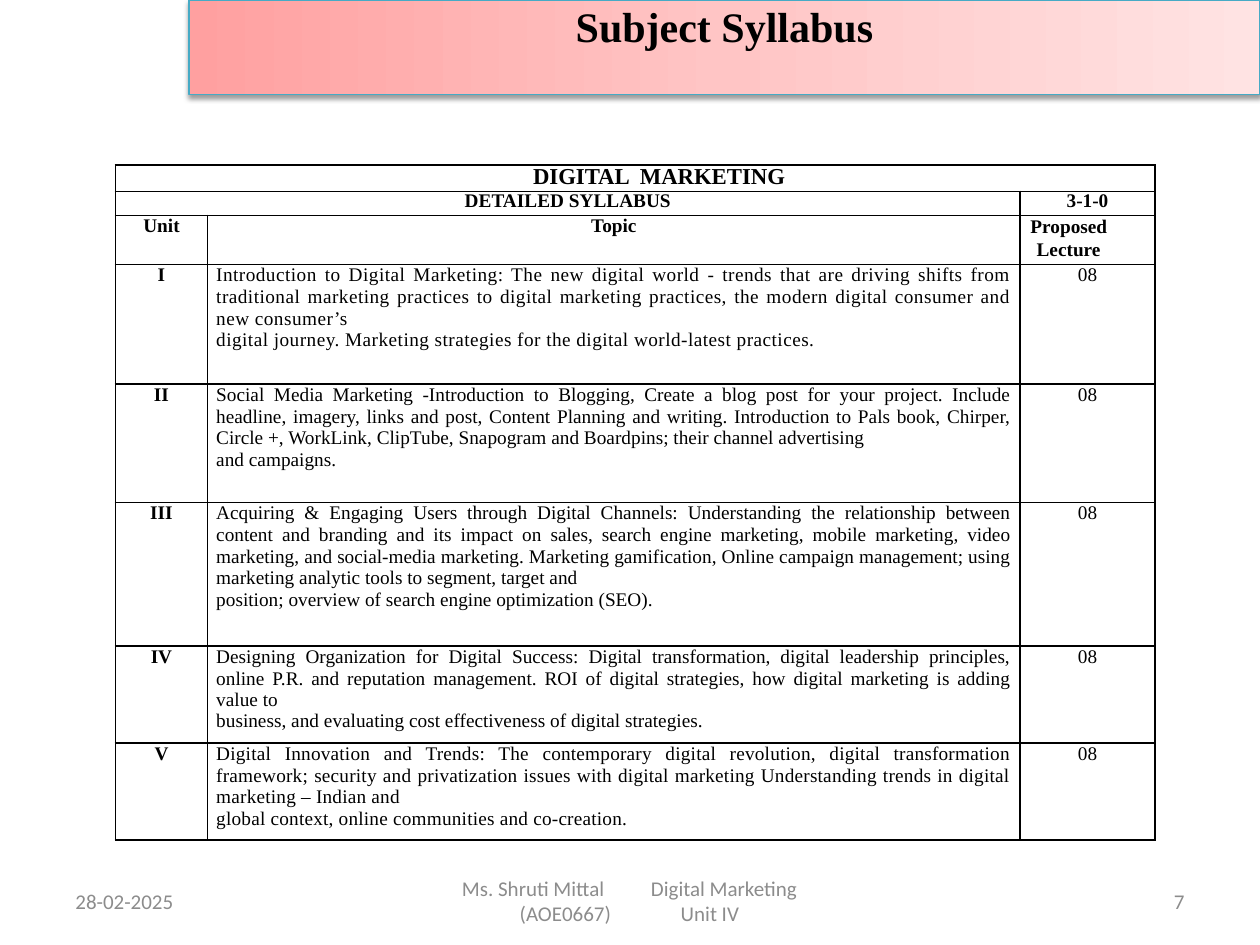
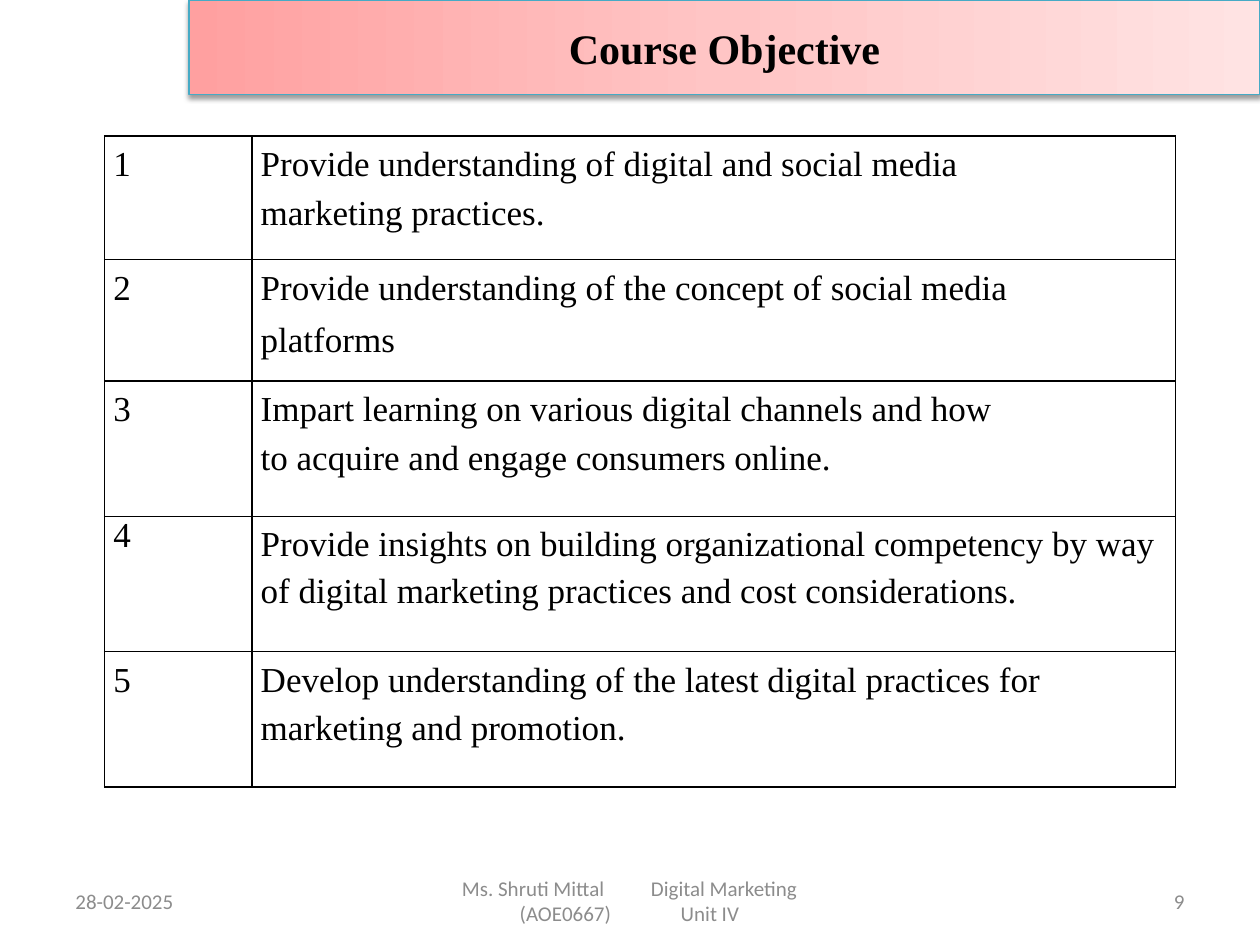
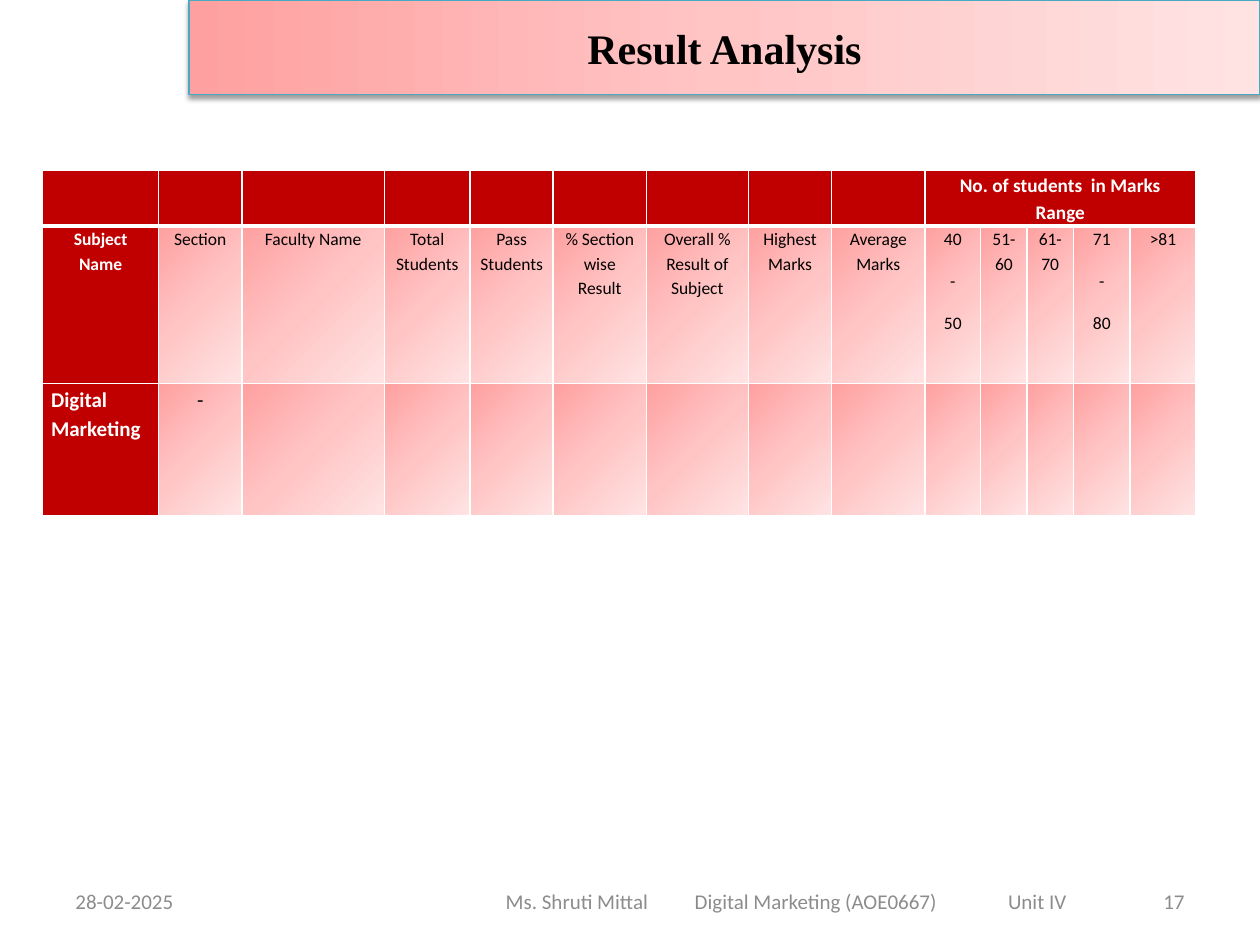
from lxml import etree
from pptx import Presentation
from pptx.dml.color import RGBColor
from pptx.enum import text as t
from pptx.oxml import ns
from pptx.util import Pt

SERIF, SANS = "Times New Roman", "Calibri"
BLACK, WHITE, GREY, RED, TEAL = "000000", "FFFFFF", "8C8C8C", "C00000", "46AAC5"
PINKS = ((0, "FFA0A0"), (50, "FFC5C5"), (100, "FFE3E3"))
LEFT, CENTER = t.PP_ALIGN.LEFT, t.PP_ALIGN.CENTER
RIGHT, JUSTIFY = t.PP_ALIGN.RIGHT, t.PP_ALIGN.JUSTIFY
TITLE_ONLY = 5

UNITS = [
    ("I", "Introduction to Digital Marketing: The new digital world - trends that are "
          "driving shifts from traditional marketing practices to digital marketing "
          "practices, the modern digital consumer and new consumer’s",
     "digital journey. Marketing strategies for the digital world-latest practices.", 0.25),
    ("II", "Social Media Marketing -Introduction to Blogging, Create a blog post for your "
           "project. Include headline, imagery, links and post, Content Planning and "
           "writing. Introduction to Pals book, Chirper, Circle +, WorkLink, ClipTube, "
           "Snapogram and Boardpins; their channel advertising",
     "and campaigns.", 0),
    ("III", "Acquiring & Engaging Users through Digital Channels: Understanding the "
            "relationship between content and branding and its impact on sales, search "
            "engine marketing, mobile marketing, video marketing, and social-media "
            "marketing. Marketing gamification, Online campaign management; using "
            "marketing analytic tools to segment, target and",
     "position; overview of search engine optimization (SEO).", 0),
    ("IV", "Designing Organization for Digital Success: Digital transformation, digital "
           "leadership principles, online P.R. and reputation management. ROI of digital "
           "strategies, how digital marketing is adding value to",
     "business, and evaluating cost effectiveness of digital strategies.", 0),
    ("V", "Digital Innovation and Trends: The contemporary digital revolution, digital "
          "transformation framework; security and privatization issues with digital "
          "marketing Understanding trends in digital marketing – Indian and",
     "global context, online communities and co-creation.", 0.1),
]

# Each objective: its two lines and their line heights
OBJECTIVES = [
    ("Provide understanding of digital and social media",
     "marketing practices.", 27.6, 27.6),
    ("Provide understanding of the concept of social media",
     "platforms", 27.6, 29.8),
    ("Impart learning on various digital channels and how",
     "to acquire and engage consumers online.", 27.6, 27.6),
    ("Provide insights on building organizational competency by way",
     "of digital marketing practices and cost considerations.", 27, 27),
    ("Develop understanding of the latest digital practices for",
     "marketing and promotion.", 27.6, 27.6),
]

RESULT_HEADS = ["Subject Name", "Section", "Faculty Name", "Total Students",
                "Pass Students", "% Section wise Result", "Overall % Result of Subject",
                "Highest Marks", "Average Marks", "40\n-\n50", "51-60", "61-70",
                "71\n-\n80", ">81"]


def rgb(code):
    return RGBColor.from_string(code)


def add_xml(parent, tag, **attributes):
    return etree.SubElement(parent, ns.qn(tag), attributes)


def fill_pinks(part, element, angle):
    """Three-stop pink gradient; angle runs counter-clockwise."""
    part.fill.gradient()
    part.fill.gradient_angle = angle
    stops = next(element.iter(ns.qn("a:gsLst")))
    for stop in list(stops):
        stops.remove(stop)
    for percent, code in PINKS:
        stop = add_xml(stops, "a:gs", pos=str(percent * 1000))
        add_xml(stop, "a:srgbClr", val=code)


def write(frame, lines, size, font=SERIF, color=BLACK, bold=False, align=LEFT,
          spacing=None, after=None, tracking=0):
    frame.text = lines
    for paragraph in frame.paragraphs:
        paragraph.alignment = align
        if spacing:
            paragraph.line_spacing = spacing
        if after:
            paragraph.space_after = Pt(after)
        for run in paragraph.runs:
            run.font.size = Pt(size)
            run.font.name = font
            run.font.bold = bold
            run.font.color.rgb = rgb(color)
            if tracking:
                run._r.get_or_add_rPr().set("spc", str(round(tracking * 100)))


def indent(paragraph, left, first=0):
    properties = paragraph._p.get_or_add_pPr()
    properties.set("marL", str(Pt(left)))
    properties.set("indent", str(Pt(first)))


# Title band
def add_title(slide, title):
    band = slide.shapes.title
    band.left, band.top, band.width, band.height = Pt(108), Pt(0), Pt(612), Pt(54)
    write(band.text_frame, title, 24, bold=True, align=CENTER)
    band.text_frame.vertical_anchor = t.MSO_ANCHOR.MIDDLE
    fill_pinks(band, band._element, 0)
    band.line.color.rgb = rgb(TEAL)
    band.line.width = Pt(0.75)
    effects = add_xml(band._element.spPr, "a:effectLst")
    shadow = add_xml(effects, "a:outerShdw", blurRad=str(Pt(3.1)), dist=str(Pt(1.6)),
                     dir="5400000", rotWithShape="0")
    shade = add_xml(shadow, "a:srgbClr", val=BLACK)
    add_xml(shade, "a:alpha", val="38000")
    return band


# Footer
def add_footer_text(slide, left, width, words, align=LEFT):
    box = slide.shapes.add_textbox(Pt(left), Pt(500.4), Pt(width), Pt(28.8))
    frame = box.text_frame
    frame.word_wrap = True
    frame.vertical_anchor = t.MSO_ANCHOR.MIDDLE
    write(frame, words, 12, SANS, GREY, align=align)
    return frame


def add_footer(slide, number, course, width, inset, tab_rows):
    add_footer_text(slide, 36, 168, "28-02-2025")
    frame = add_footer_text(slide, 246, width, course)
    frame.margin_left, frame.margin_right = Pt(inset), 0
    for paragraph, tabs in zip(frame.paragraphs, tab_rows):
        tab_list = add_xml(paragraph._p.get_or_add_pPr(), "a:tabLst")
        for place in tabs:
            add_xml(tab_list, "a:tab", pos=str(Pt(place)), algn="l")
    add_footer_text(slide, 516, 168, number, RIGHT)


def add_narrow_footer(slide, number):
    add_footer(slide, number, "Ms. Shruti Mittal\tDigital Marketing\n\t(AOE0667)\tUnit IV",
               228, 18, [(108,), (33, 125)])


def add_wide_footer(slide, number):
    add_footer(slide, number, "Ms. Shruti Mittal\tDigital Marketing (AOE0667)\tUnit IV",
               408, 43, [(108, 287)])


# Tables
def set_borders(cell, color, top=1, bottom=1):
    properties = cell._tc.get_or_add_tcPr()
    widths = (("a:lnL", 1), ("a:lnR", 1), ("a:lnT", top), ("a:lnB", bottom))
    for place, (side, width) in enumerate(widths):
        line = etree.Element(ns.qn(side), w=str(Pt(width)))
        add_xml(add_xml(line, "a:solidFill"), "a:srgbClr", val=color)
        properties.insert(place, line)


def add_grid(slide, left, top, columns, rows, margin=0):
    grid = slide.shapes.add_table(len(rows), len(columns), Pt(left), Pt(top),
                                  Pt(sum(columns)), Pt(sum(rows))).table
    grid.first_row = grid.horz_banding = False
    for column, width in zip(grid.columns, columns):
        column.width = Pt(width)
    for row, height in zip(grid.rows, rows):
        row.height = Pt(height)
    for cell in grid.iter_cells():
        cell.margin_left = cell.margin_right = Pt(margin)
        cell.margin_top = cell.margin_bottom = 0
    return grid


def add_ruled_grid(slide, *layout):
    grid = add_grid(slide, *layout)
    for cell in grid.iter_cells():
        cell.fill.background()
        set_borders(cell, BLACK)
    return grid


def build_syllabus(deck):
    slide = deck.slides.add_slide(deck.slide_layouts[TITLE_ONLY])
    band = add_title(slide, "Subject Syllabus")
    band.text_frame.vertical_anchor = t.MSO_ANCHOR.TOP
    band.text_frame.margin_top = 0
    add_narrow_footer(slide, "7")
    grid = add_ruled_grid(slide, 66, 94.3, (52.6, 464.4, 77),
                          (15.1, 13.7, 28, 68.4, 67.7, 82, 55.5, 55.5))
    grid.cell(0, 0).merge(grid.cell(0, 2))
    grid.cell(1, 0).merge(grid.cell(1, 1))

    # Heading rows
    course = grid.cell(0, 0).text_frame
    write(course, "DIGITAL  MARKETING", 13, bold=True, align=CENTER, spacing=Pt(14.1))
    indent(course.paragraphs[0], 27)
    for row, column, heading in ((1, 0, "DETAILED SYLLABUS"), (1, 2, "3-1-0"),
                                 (2, 0, "Unit"), (2, 1, "Topic")):
        write(grid.cell(row, column).text_frame, heading, 11, bold=True, align=CENTER,
              spacing=Pt(11.8) if row == 1 else None)
    lectures = grid.cell(2, 2).text_frame
    write(lectures, "Proposed Lecture", 11, bold=True, spacing=Pt(13))
    indent(lectures.paragraphs[0], 9.4, -3.6)

    # Unit rows
    for row, (unit, topic, ending, tracking) in enumerate(UNITS, 3):
        write(grid.cell(row, 0).text_frame, unit, 11, bold=True, align=CENTER)
        topic_cell = grid.cell(row, 1)
        topic_cell.margin_left = topic_cell.margin_right = Pt(5)
        write(topic_cell.text_frame, topic + "\n" + ending, 11, align=JUSTIFY,
              spacing=1.01, tracking=tracking)
        topic_cell.text_frame.paragraphs[1].line_spacing = Pt(12.2)
        write(grid.cell(row, 2).text_frame, "08", 11, align=CENTER, spacing=Pt(12.4))


def build_objectives(deck):
    slide = deck.slides.add_slide(deck.slide_layouts[TITLE_ONLY])
    add_title(slide, "Course Objective")
    add_narrow_footer(slide, "9")
    grid = add_ruled_grid(slide, 59.8, 77.8, (84.2, 527.8), (70.4, 69.6, 77.3, 77.3, 77.3), 5)
    for row, (opening, ending, *heights) in enumerate(OBJECTIVES):
        number = row + 1
        write(grid.cell(row, 0).text_frame, str(number), 20,
              spacing=None if number == 4 else Pt(27.6))
        objective = grid.cell(row, 1).text_frame
        write(objective, opening + "\n" + ending, 20)
        for paragraph, height in zip(objective.paragraphs, heights):
            paragraph.line_spacing = Pt(height)


def build_results(deck):
    slide = deck.slides.add_slide(deck.slide_layouts[TITLE_ONLY])
    add_title(slide, "Result Analysis")
    add_wide_footer(slide, "17")
    columns = (66.5, 47.5, 81.5, 49, 47.5, 53.2, 58.3, 47.7, 53.2, 32, 26.5, 26.5, 32.4, 37.6)
    grid = add_grid(slide, 24.2, 97.5, columns, (31.7, 90, 75.6), 5)
    grid.cell(0, 9).merge(grid.cell(0, 13))

    # Red header row and first column, pink body
    for row in range(3):
        for column in range(len(columns)):
            cell = grid.cell(row, column)
            if row == 0 or column == 0:
                cell.fill.solid()
                cell.fill.fore_color.rgb = rgb(RED)
            else:
                fill_pinks(cell, cell._tc, 315)
            set_borders(cell, WHITE, top=3 if row == 1 else 1, bottom=3 if row == 0 else 1)

    def label(row, column, words, size, color=BLACK, bold=False, align=CENTER):
        write(grid.cell(row, column).text_frame, words, size, SANS, color, bold, align,
              spacing=1.15, after=10)

    label(0, 9, "No. of students  in Marks Range", 11, WHITE, True)
    for column, heading in enumerate(RESULT_HEADS):
        is_subject = column == 0
        label(1, column, heading, 10, WHITE if is_subject else BLACK, is_subject)
    label(2, 0, "Digital Marketing", 12, WHITE, True, LEFT)
    label(2, 1, "-", 12)


def main():
    deck = Presentation()
    deck.slide_width, deck.slide_height = Pt(720), Pt(540)
    build_syllabus(deck)
    build_objectives(deck)
    build_results(deck)
    deck.save("out.pptx")


if __name__ == "__main__":
    main()
